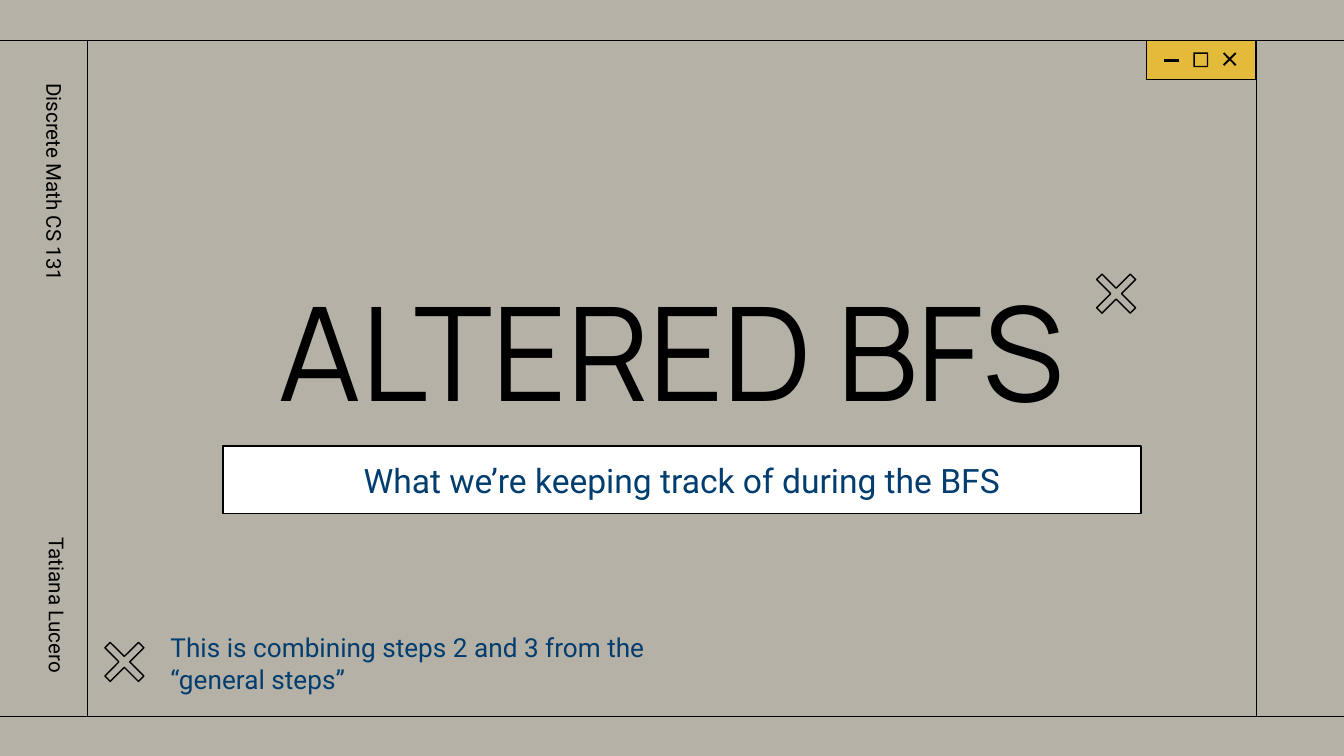
from dataclasses import dataclass
from typing import Optional

from lxml import etree
from pptx import Presentation
from pptx.dml.color import RGBColor
from pptx.enum.shapes import MSO_CONNECTOR as Connector, MSO_SHAPE as Shape
from pptx.enum.text import MSO_ANCHOR as Anchor, PP_ALIGN as Align
from pptx.oxml.ns import qn
from pptx.util import Inches, Pt

COLORS = {"background": "B5B1A7", "gold": "E4BA3A", "ink": "000000",
          "paper": "FFFFFF", "navy": "023D6F"}
LINE_WIDTH = Pt(0.75)
TOP, BOTTOM, LEFT, RIGHT = 0.3, 5.33, 0.65, 9.35

Point = tuple[float, float]


@dataclass
class Label:
    text: str
    box: tuple[float, float, float, float]
    size: float
    color: str = "ink"
    font: str = "Roboto"
    align: Align = Align.LEFT
    anchor: Anchor = Anchor.TOP
    rotation: float = 0
    panel: bool = False
    spacing: Optional[dict] = None


@dataclass
class Cross:
    left: float
    top: float
    size: float
    arm: float
    fill: Optional[str] = None
    line: Optional[str] = "ink"


LABELS = [
    Label("ALTERED BFS", (-0.54, 1.63, 11.07, 1.65), 70, font="Manrope",
          align=Align.CENTER, anchor=Anchor.BOTTOM),
    Label("What we’re keeping track of during the BFS", (1.66, 3.32, 6.83, 0.5), 18,
          color="navy", align=Align.CENTER, panel=True),
    Label("Discrete Math CS 131", (-0.74, 1.57, 2.32, 0.22), 11, anchor=Anchor.MIDDLE,
          rotation=90, spacing={"line_spacing": 1.15, "space_after": Pt(12)}),
    Label("Tatiana Lucero", (-0.61, 3.96, 2.07, 0.22), 11, align=Align.RIGHT,
          anchor=Anchor.MIDDLE, rotation=90),
    Label("This is combining steps 2 and 3 from the “general steps”",
          (1.17, 4.6, 3.98, 0.9), 14, color="navy"),
]
CLOSE_BUTTON = Cross(9.1, 0.39, 0.1, 0.01, fill="ink", line=None)
DECORATIONS = [Cross(8.16, 2.04, 0.29, 0.04), Cross(0.78, 4.78, 0.29, 0.04)]
FRAME_LINES = [
    ((-0.03, TOP), (10.03, TOP)),
    ((LEFT, BOTTOM), (LEFT, TOP)),
    ((RIGHT, BOTTOM), (RIGHT, TOP)),
    ((-0.03, BOTTOM), (10.03, BOTTOM)),
]


def rgb(name: str) -> RGBColor:
    return RGBColor.from_string(COLORS[name])


def style(shape, fill: Optional[str], line: Optional[str]) -> None:
    shape.shadow.inherit = False
    if fill:
        shape.fill.solid()
        shape.fill.fore_color.rgb = rgb(fill)
    else:
        shape.fill.background()
    if line:
        shape.line.color.rgb = rgb(line)
        shape.line.width = LINE_WIDTH
    else:
        shape.line.fill.background()


def rectangle(left: float, top: float, width: float, height: float) -> list[Point]:
    right, bottom = left + width, top + height
    return [(left, top), (left, bottom), (right, bottom), (right, top)]


def draw_outline(slide, contours: list[list[Point]], fill: Optional[str],
                 line: Optional[str]) -> None:
    builder = None
    for contour in contours:
        start, *rest = [(Inches(x), Inches(y)) for x, y in contour]
        if builder is None:
            builder = slide.shapes.build_freeform(*start)
        else:
            builder.move_to(*start)
        builder.add_line_segments(rest, close=True)
    style(builder.convert_to_shape(), fill, line)


def draw_cross(slide, cross: Cross) -> None:
    radius, arm = cross.size / 2, cross.arm
    x, y = cross.left + radius, cross.top + radius
    points = []
    # One arm tip and notch per quarter turn
    for cos, sin in ((1, 0), (0, 1), (-1, 0), (0, -1)):
        for dx, dy in ((radius - arm, -radius), (radius, arm - radius), (arm, 0)):
            points.append((x + dx * cos - dy * sin, y + dx * sin + dy * cos))
    draw_outline(slide, [points], cross.fill, cross.line)


def draw_line(slide, start: Point, end: Point) -> None:
    connector = slide.shapes.add_connector(
        Connector.STRAIGHT, *(Inches(value) for value in (*start, *end)))
    connector.line.color.rgb = rgb("ink")
    connector.line.width = LINE_WIDTH
    etree.SubElement(connector._element.spPr, qn("a:effectLst"))


def draw_label(slide, label: Label) -> None:
    box = [Inches(value) for value in label.box]
    if label.panel:
        shape = slide.shapes.add_shape(Shape.RECTANGLE, *box)
        style(shape, "paper", "ink")
    else:
        shape = slide.shapes.add_textbox(*box)
    shape.rotation = label.rotation
    frame = shape.text_frame
    frame_format = {"word_wrap": True, "vertical_anchor": label.anchor}
    for side in ("left", "top", "right", "bottom"):
        frame_format[f"margin_{side}"] = Inches(0.1)
    for name, value in frame_format.items():
        setattr(frame, name, value)
    paragraph = frame.paragraphs[0]
    for name, value in {"alignment": label.align, **(label.spacing or {})}.items():
        setattr(paragraph, name, value)
    run = paragraph.add_run()
    run.text = label.text
    for name, value in {"name": label.font, "size": Pt(label.size)}.items():
        setattr(run.font, name, value)
    run.font.color.rgb = rgb(label.color)


def main() -> None:
    presentation = Presentation()
    # Widescreen, 16 to 9
    presentation.slide_width = Inches(10)
    presentation.slide_height = Inches(10) * 9 // 16
    slide = presentation.slides.add_slide(presentation.slide_layouts[6])
    slide.background.fill.solid()
    slide.background.fill.fore_color.rgb = rgb("background")

    # Window buttons: bar, close, maximize and minimize
    draw_outline(slide, [rectangle(8.53, TOP, 0.81, 0.29)], "gold", "ink")
    draw_cross(slide, CLOSE_BUTTON)
    square, hole = rectangle(8.88, 0.39, 0.11, 0.11), rectangle(8.89, 0.4, 0.09, 0.09)
    draw_outline(slide, [square, hole[::-1]], "ink", None)
    draw_outline(slide, [rectangle(8.66, 0.44, 0.11, 0.02)], "ink", None)

    # Window frame
    for start, end in FRAME_LINES:
        draw_line(slide, start, end)

    # Texts and decorative crosses
    for label in LABELS:
        draw_label(slide, label)
    for cross in DECORATIONS:
        draw_cross(slide, cross)

    presentation.save("out.pptx")


if __name__ == "__main__":
    main()
